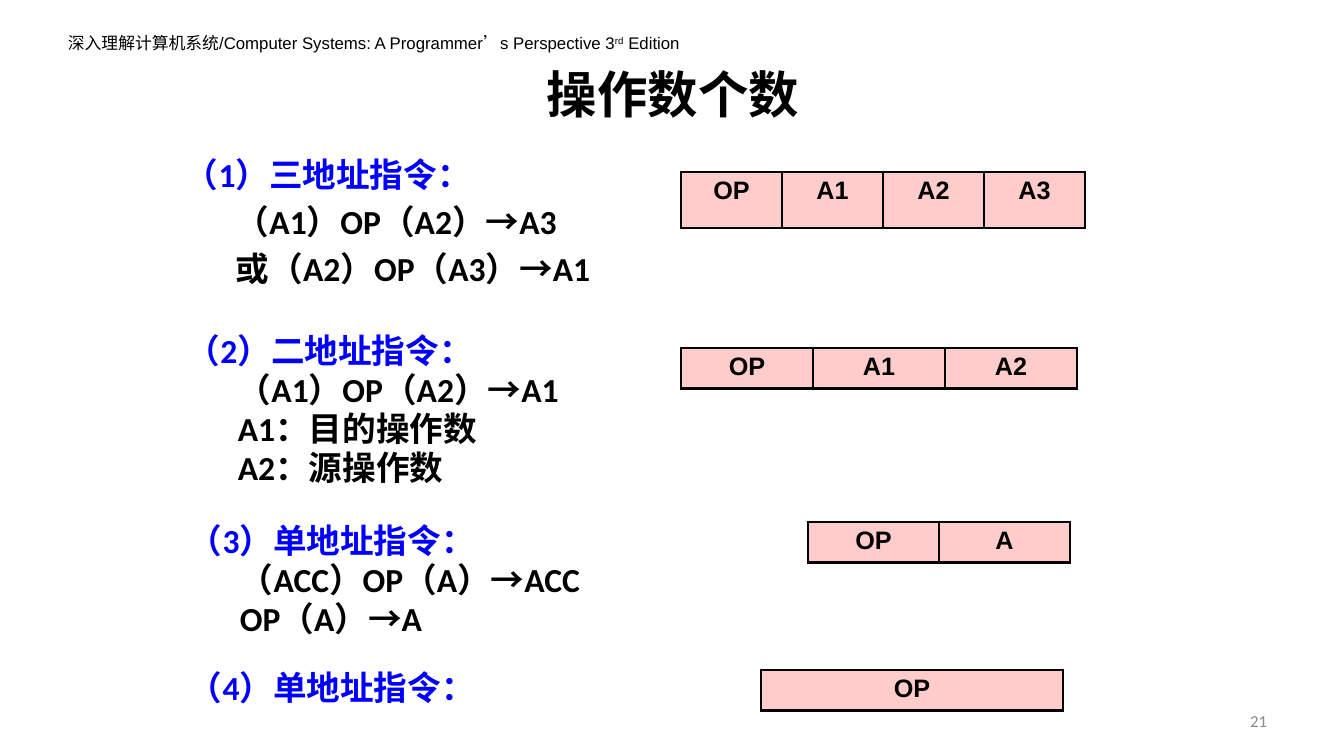
import pptx
import pptx.dml.color
import pptx.enum.text
import pptx.oxml
import pptx.oxml.ns
import pptx.util

PX = 914400 / 100.8
BLACK = pptx.dml.color.RGBColor(0x00, 0x00, 0x00)
BLUE = pptx.dml.color.RGBColor(0x00, 0x00, 0xFF)
GRAY = pptx.dml.color.RGBColor(0x89, 0x89, 0x89)
PINK = pptx.dml.color.RGBColor(0xFF, 0xCC, 0xCC)
ALIGN = pptx.enum.text.PP_ALIGN
ANCHOR = pptx.enum.text.MSO_ANCHOR


def px(*lengths):
    return [pptx.util.Emu(round(length * PX)) for length in lengths]


def add_text(paragraph, text, font="Calibri", size=24, color=BLACK, bold=True,
             align=None, superscript=False):
    """Append one formatted run to the paragraph."""
    if align is not None:
        paragraph.alignment = align
    run = paragraph.add_run()
    run.text = text
    run.font.name = font
    run.font.size = pptx.util.Pt(size)
    run.font.bold = bold
    run.font.color.rgb = color
    if superscript:
        run.font._element.set("baseline", "30000")


presentation = pptx.Presentation()
presentation.slide_width, presentation.slide_height = px(1344, 756)
slide = presentation.slides.add_slide(presentation.slide_layouts[5])

# Title, running header and page number
title = slide.shapes.title
title.left, title.top, title.width, title.height = px(68, 30, 1210, 126)
title.text_frame.vertical_anchor = ANCHOR.MIDDLE
add_text(title.text_frame.paragraphs[0], "操作数个数", size=36, align=ALIGN.CENTER)

header = slide.shapes.add_textbox(*px(58, 28, 633, 30)).text_frame
header.word_wrap = True
for text, superscript in [
    ("深入理解计算机系统/Computer Systems: A Programmer’s Perspective 3", False),
    ("rd", True),
    (" Edition", False),
]:
    add_text(header.paragraphs[0], text, font="Arial", size=12, bold=False,
             superscript=superscript)

page_number = slide.shapes.add_textbox(*px(964, 701, 313, 40)).text_frame
page_number.word_wrap = True
page_number.vertical_anchor = ANCHOR.MIDDLE
add_text(page_number.paragraphs[0], "21", size=12, color=GRAY, bold=False,
         align=ALIGN.RIGHT)

# Instruction kinds: box, line spacing, heading followed by its forms
instructions = [
    ((175, 149, 516, 150), 1.0,
     ["（1）三地址指令：", "（A1）OP（A2）→A3", "或（A2）OP（A3）→A1"]),
    ((177, 333, 469, 182), 0.8,
     ["（2）二地址指令：", "（A1）OP（A2）→A1", "A1：目的操作数", "A2：源操作数"]),
    ((179, 523, 608, 182), 0.8,
     ["（3）单地址指令：", "（ACC）OP（A）→ACC", "OP（A）→A"]),
    ((179, 670, 310, 42), 0.8, ["（4）单地址指令："]),
]
for box, line_spacing, lines in instructions:
    description = slide.shapes.add_textbox(*px(*box)).text_frame
    description.word_wrap = True
    for index, line in enumerate(lines):
        is_heading = index == 0
        paragraph = description.paragraphs[0] if is_heading else description.add_paragraph()
        margin, indent = px(38, -38) if is_heading else px(82, -31)
        properties = paragraph._p.get_or_add_pPr()
        properties.set("marL", str(margin))
        properties.set("indent", str(indent))
        paragraph.line_spacing = line_spacing
        if not is_heading:
            paragraph.level = 1
            paragraph.space_before = pptx.util.Pt(4.8)
        add_text(paragraph, line, color=BLUE if is_heading else BLACK)

# Instruction formats: left, top, field width, height, fields
formats = [
    (681, 172, 101, 56, ["OP", "A1", "A2", "A3"]),
    (681, 348, 132, 40, ["OP", "A1", "A2"]),
    (808, 522, 131, 40, ["OP", "A"]),
    (761, 670, 302, 40, ["OP"]),
]
for left, top, field_width, height, fields in formats:
    table = slide.shapes.add_table(
        1, len(fields), *px(left, top, field_width * len(fields), height)).table
    table.first_row = False
    table.horz_banding = False
    table.rows[0].height = px(height)[0]
    for index, field in enumerate(fields):
        table.columns[index].width = px(field_width)[0]
        cell = table.cell(0, index)
        outer, inner = pptx.util.Pt(2.25), pptx.util.Pt(1)
        borders = {
            "lnL": outer if index == 0 else inner,
            "lnR": outer if index == len(fields) - 1 else inner,
            "lnT": outer,
            "lnB": outer,
        }
        cell_properties = cell._tc.get_or_add_tcPr()
        for side, width in borders.items():
            cell_properties.append(pptx.oxml.parse_xml(
                f'<a:{side} {pptx.oxml.ns.nsdecls("a")} w="{width}"><a:solidFill>'
                f'<a:srgbClr val="{BLACK}"/></a:solidFill></a:{side}>'))
        cell.fill.solid()
        cell.fill.fore_color.rgb = PINK
        add_text(cell.text_frame.paragraphs[0], field, font="Arial", size=18,
                 align=ALIGN.CENTER)

presentation.save("out.pptx")
